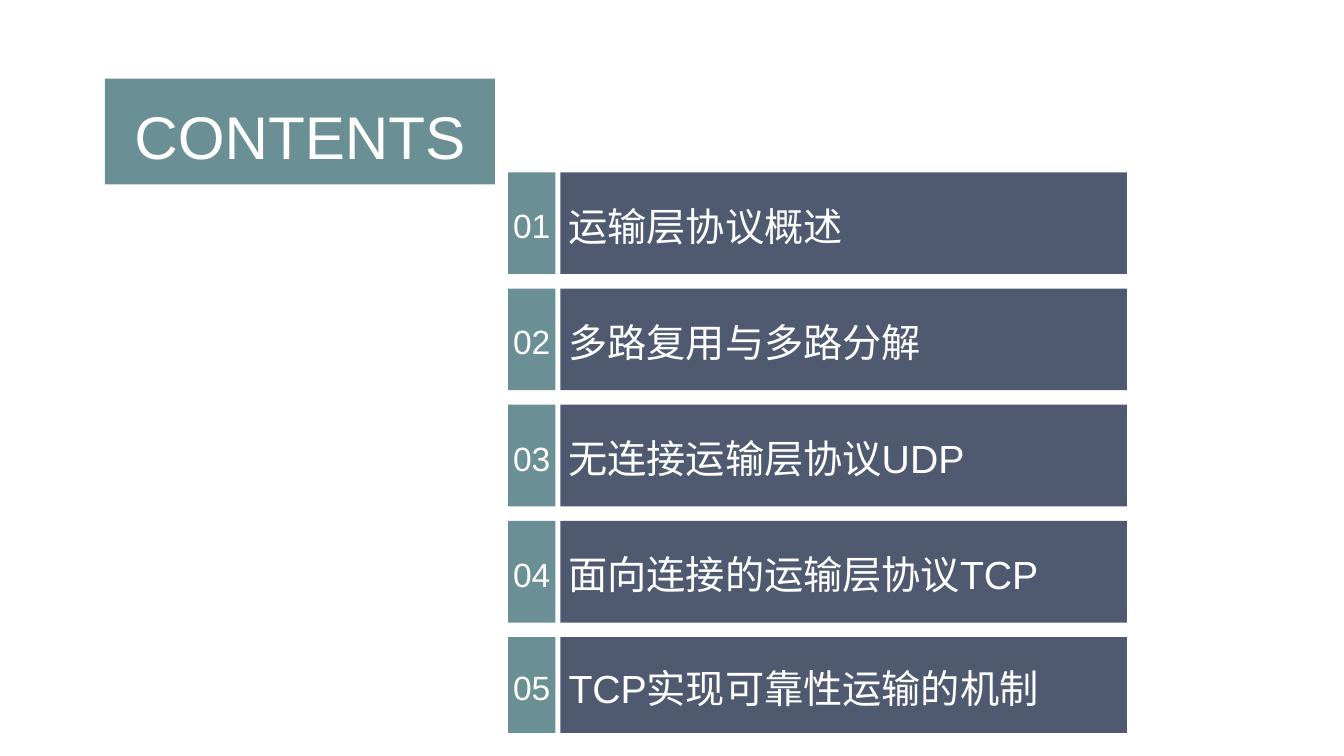
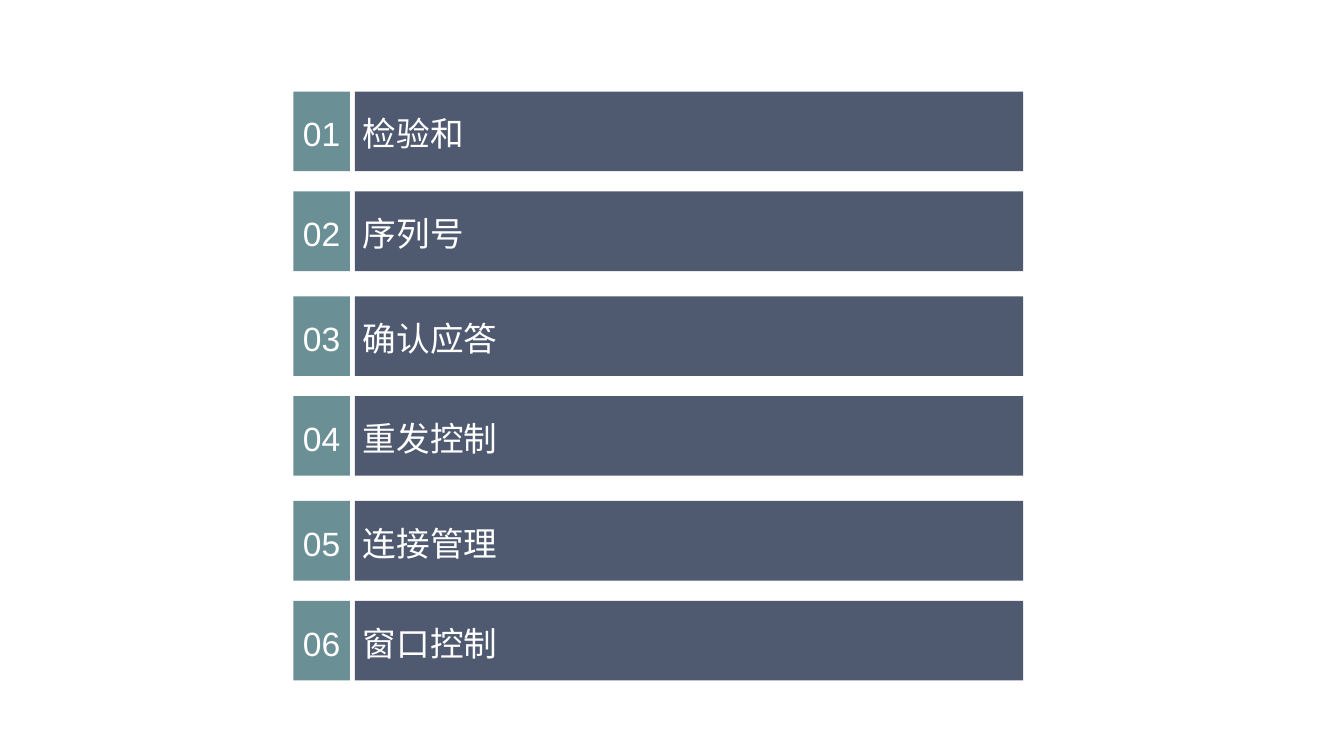
from pptx import Presentation
from pptx.dml.color import RGBColor
from pptx.enum.shapes import MSO_SHAPE
from pptx.enum.text import MSO_ANCHOR, MSO_AUTO_SIZE, PP_ALIGN
from pptx.util import Inches, Pt

RECT = MSO_SHAPE.RECTANGLE
MIDDLE = MSO_ANCHOR.MIDDLE
NO_FIT = MSO_AUTO_SIZE.NONE
LEFT, CENTER = PP_ALIGN.LEFT, PP_ALIGN.CENTER

WIDE, HIGH = Inches(13.33), Inches(7.5)
COL, ROW = WIDE / 100, HIGH / 100  # the grid: 100 columns by 100 rows
TITLE_ONLY, BLANK = 5, 6
COLORS = {"teal": "6A8F94", "slate": "4F5A71", "white": "FFFFFF"}
FONT = "Arial"
FRAME = {
    "word_wrap": True, "auto_size": NO_FIT, "vertical_anchor": MIDDLE,
    "margin_top": 0, "margin_right": 0, "margin_bottom": 0,
}
INDENT = Inches(0.08)

TOPICS = [
    "运输层协议概述",
    "多路复用与多路分解",
    "无连接运输层协议UDP",
    "面向连接的运输层协议TCP",
    "TCP实现可靠性运输的机制",
]
MEANS = ["检验和", "序列号", "确认应答", "重发控制", "连接管理", "窗口控制"]


def color(name):
    return RGBColor.from_string(COLORS[name])


def assign(target, values):
    for name, value in values.items():
        setattr(target, name, value)


class Deck:
    def __init__(self):
        self.show = Presentation()
        assign(self.show, {"slide_width": WIDE, "slide_height": HIGH})
        self.slide = None

    def page(self, layout):
        self.slide = self.show.slides.add_slide(self.show.slide_layouts[layout])

    def style(self, shape, text, fill, size, align=CENTER, indent=0):
        shape.fill.solid()
        shape.fill.fore_color.rgb = color(fill)
        shape.line.fill.background()
        shape.shadow.inherit = False
        frame = shape.text_frame
        assign(frame, {**FRAME, "margin_left": indent})
        frame.text = text
        para = frame.paragraphs[0]
        assign(para, {"alignment": align, "line_spacing": 1.1})
        assign(para.runs[0].font, {"name": FONT, "size": Pt(size)})
        para.runs[0].font.color.rgb = color("white")

    def title(self, text, left, top, width, height):
        shape = self.slide.shapes.title
        assign(shape, {
            "left": round(left * COL), "top": round(top * ROW),
            "width": round(width * COL), "height": round(height * ROW),
        })
        self.style(shape, text, "teal", 43)

    def bar(self, group, left, top, width, height, *look):
        shape = group.shapes.add_shape(
            RECT, round(left * COL), round(top * ROW),
            round(width * COL), round(height * ROW))
        self.style(shape, *look)

    def entry(self, number, text, tag, body, top, height, size):
        """Add a numbered row; tag and body are each (left, width)."""
        group = self.slide.shapes.add_group_shape()
        self.bar(group, tag[0], top, tag[1], height,
                 f"{number:02}", "teal", 24)
        self.bar(group, body[0], top, body[1], height,
                 text, "slate", size, LEFT, INDENT)


def main():
    deck = Deck()

    deck.page(TITLE_ONLY)
    deck.title("CONTENTS", 7.8, 10.4, 29.03, 14)
    for i, text in enumerate(TOPICS):
        height = 12.67 if text == TOPICS[-1] else 13.45
        deck.entry(i + 1, text, (37.8, 3.53), (41.7, 42.15),
                   22.8 + 15.37 * i, height, 28)

    deck.page(BLANK)
    for i, text in enumerate(MEANS):
        pair, second = divmod(i, 2)
        deck.entry(i + 1, text, (21.83, 4.2), (26.4, 49.73),
                   12.13 + 27.07 * pair + 13.2 * second, 10.53, 24)

    deck.show.save("out.pptx")


if __name__ == "__main__":
    main()
